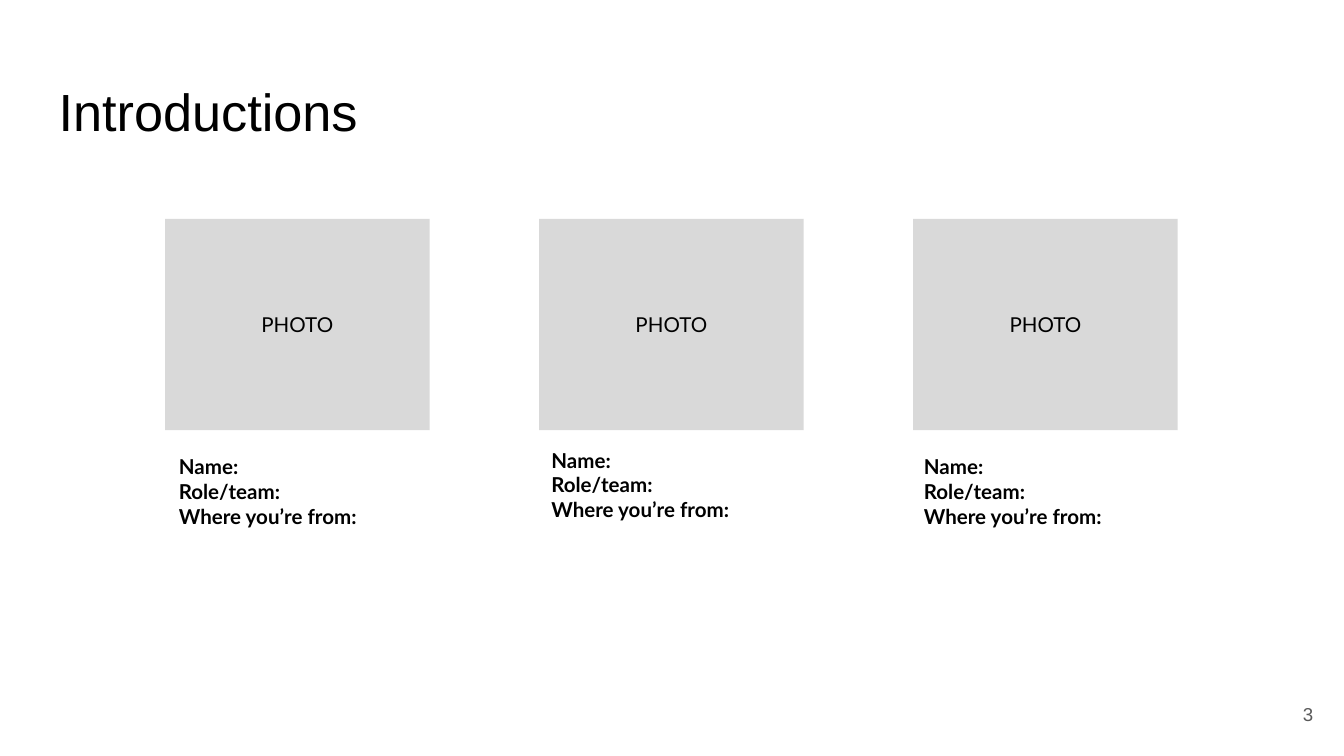
from dataclasses import dataclass

import pptx
import pptx.dml.color
import pptx.enum.shapes
import pptx.enum.text
import pptx.shapes.autoshape
import pptx.slide
import pptx.util

Cm = pptx.util.Cm
ALIGN = pptx.enum.text.PP_ALIGN
ANCHOR = pptx.enum.text.MSO_ANCHOR

COLORS = {"text": "000000", "number": "595959", "photo": "D9D9D9"}
PHOTO_LEFT, PHOTO_STEP = 3.12, 7.07
DETAILS_LEFT, DETAILS_STEP = 3.2, 7.04
DETAILS = ("Name:", "Role/team:", "Where you’re from:")


@dataclass(frozen=True)
class Box:
    """Position and size in centimetres."""

    left: float
    top: float
    width: float
    height: float

    def lengths(self) -> tuple:
        return Cm(self.left), Cm(self.top), Cm(self.width), Cm(self.height)


@dataclass(frozen=True)
class TextStyle:
    font: str
    size: float
    inset: float
    color: str = "text"
    bold: bool = False
    align: ALIGN = ALIGN.LEFT
    anchor: ANCHOR = ANCHOR.TOP


TITLE = TextStyle("Arial", 28, 0.25)
NUMBER = TextStyle("Arial", 10, 0.25, color="number", align=ALIGN.RIGHT, anchor=ANCHOR.MIDDLE)
PHOTO = TextStyle("Lato", 11, 0.18, align=ALIGN.CENTER, anchor=ANCHOR.MIDDLE)
PERSON = TextStyle("Lato", 11, 0.18, bold=True)


def rgb(name: str) -> pptx.dml.color.RGBColor:
    return pptx.dml.color.RGBColor.from_string(COLORS[name])


def write_text(sp: pptx.shapes.autoshape.Shape, lines: tuple[str, ...], style: TextStyle) -> None:
    tf = sp.text_frame
    tf.word_wrap = True
    tf.vertical_anchor = style.anchor
    tf.margin_left = tf.margin_right = tf.margin_top = tf.margin_bottom = Cm(style.inset)
    for i, line in enumerate(lines):
        p = tf.add_paragraph() if i else tf.paragraphs[0]
        p.alignment = style.align
        r = p.add_run()
        r.text = line
        r.font.name = style.font
        r.font.size = pptx.util.Pt(style.size)
        r.font.bold = style.bold
        r.font.color.rgb = rgb(style.color)


def add_text(s: pptx.slide.Slide, box: Box, lines: tuple[str, ...], style: TextStyle) -> None:
    write_text(s.shapes.add_textbox(*box.lengths()), lines, style)


def add_photo_frame(s: pptx.slide.Slide, box: Box) -> None:
    sp = s.shapes.add_shape(pptx.enum.shapes.MSO_SHAPE.RECTANGLE, *box.lengths())
    sp.shadow.inherit = False
    sp.fill.solid()
    sp.fill.fore_color.rgb = rgb("photo")
    sp.line.fill.background()
    write_text(sp, ("PHOTO",), PHOTO)


def main() -> None:
    prs = pptx.Presentation()
    prs.slide_width, prs.slide_height = Cm(25.4), Cm(14.29)
    s = prs.slides.add_slide(prs.slide_layouts[6])

    add_text(s, Box(0.86, 1.24, 23.67, 1.6), ("Introductions",), TITLE)
    add_text(s, Box(23.55, 12.95, 1.52, 1.09), ("3",), NUMBER)
    for i, details_top in enumerate((8.41, 8.28, 8.41)):
        add_photo_frame(s, Box(PHOTO_LEFT + i * PHOTO_STEP, 4.14, 5, 3.99))
        add_text(s, Box(DETAILS_LEFT + i * DETAILS_STEP, details_top, 4.9, 3.63), DETAILS, PERSON)

    prs.save("out.pptx")


if __name__ == "__main__":
    main()
